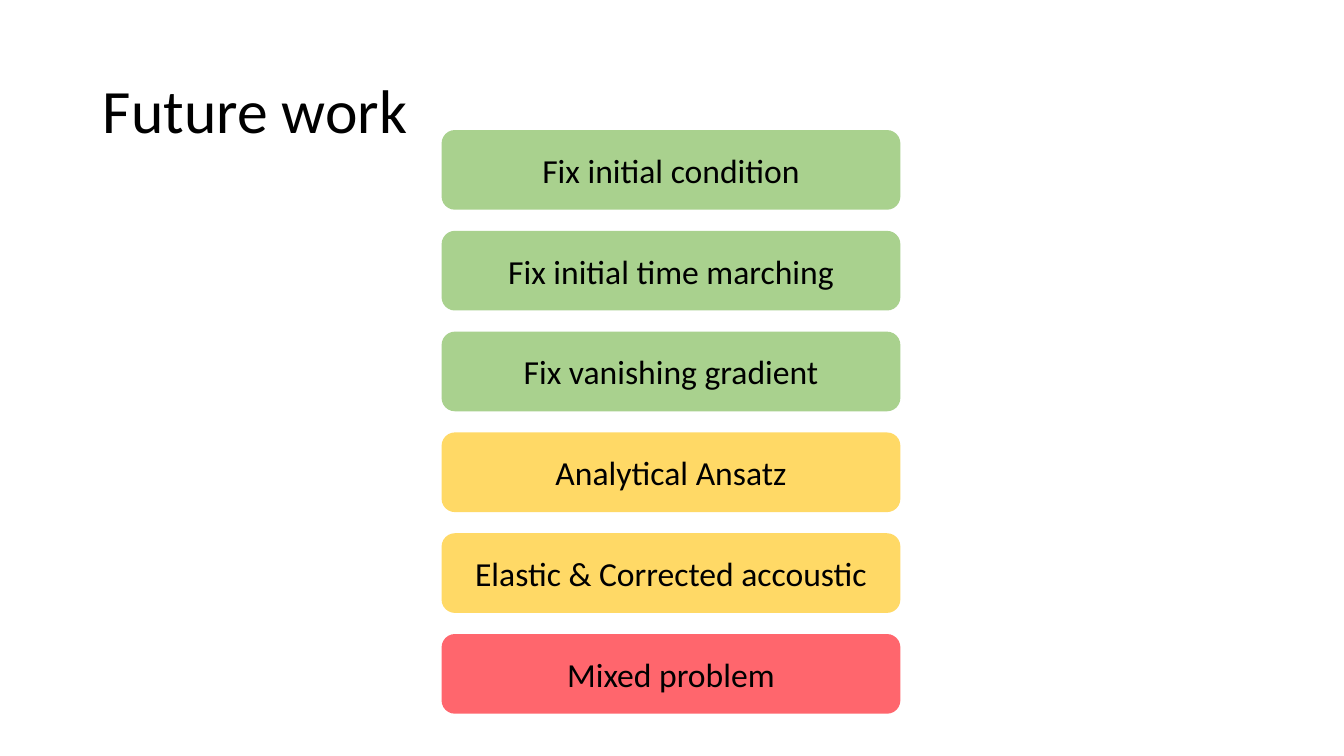
from pptx import Presentation
from pptx.dml.color import RGBColor
from pptx.enum import shapes, text
from pptx.util import Inches, Pt

COLORS = {
    "text": "000000",
    "green": "A9D18E",
    "yellow": "FFD966",
    "red": "FF666D",
}

STEPS = [
    ("Fix initial condition", "green"),
    ("Fix initial time marching", "green"),
    ("Fix vanishing gradient", "green"),
    ("Analytical Ansatz", "yellow"),
    ("Elastic & Corrected accoustic", "yellow"),
    ("Mixed problem", "red"),
]


class SlideBuilder:
    font_name = "Calibri"
    title_size = 44
    step_size = 24

    def __init__(self, slide):
        self.slide = slide

    def set_words(self, frame, words, size, align):
        frame.text = words
        frame.word_wrap = True
        frame.vertical_anchor = text.MSO_ANCHOR.MIDDLE
        paragraph = frame.paragraphs[0]
        paragraph.alignment = align
        font = paragraph.runs[0].font
        font.name = self.font_name
        font.size = Pt(size)
        font.color.rgb = RGBColor.from_string(COLORS["text"])
        return paragraph

    def title(self, words, left, top, width, height):
        heading = self.slide.shapes.title
        heading.left, heading.top = Inches(left), Inches(top)
        heading.width, heading.height = Inches(width), Inches(height)
        line = self.set_words(heading.text_frame, words, self.title_size, text.PP_ALIGN.LEFT)
        line.line_spacing = 0.9

    def step(self, words, color, left, top, width, height):
        card = self.slide.shapes.add_shape(
            shapes.MSO_SHAPE.ROUNDED_RECTANGLE,
            Inches(left), Inches(top), Inches(width), Inches(height),
        )
        card.shadow.inherit = False
        card.fill.solid()
        card.fill.fore_color.rgb = RGBColor.from_string(COLORS[color])
        card.line.fill.background()
        self.set_words(card.text_frame, words, self.step_size, text.PP_ALIGN.CENTER)


def main():
    deck = Presentation()
    deck.slide_width, deck.slide_height = Inches(13.33), Inches(7.5)
    builder = SlideBuilder(deck.slides.add_slide(deck.slide_layouts[5]))
    builder.title("Future work", 0.92, 0.4, 11.5, 1.45)
    for row, (words, color) in enumerate(STEPS):
        builder.step(words, color, 4.38, 1.29 + row, 4.55, 0.79)
    deck.save("out.pptx")


if __name__ == "__main__":
    main()
